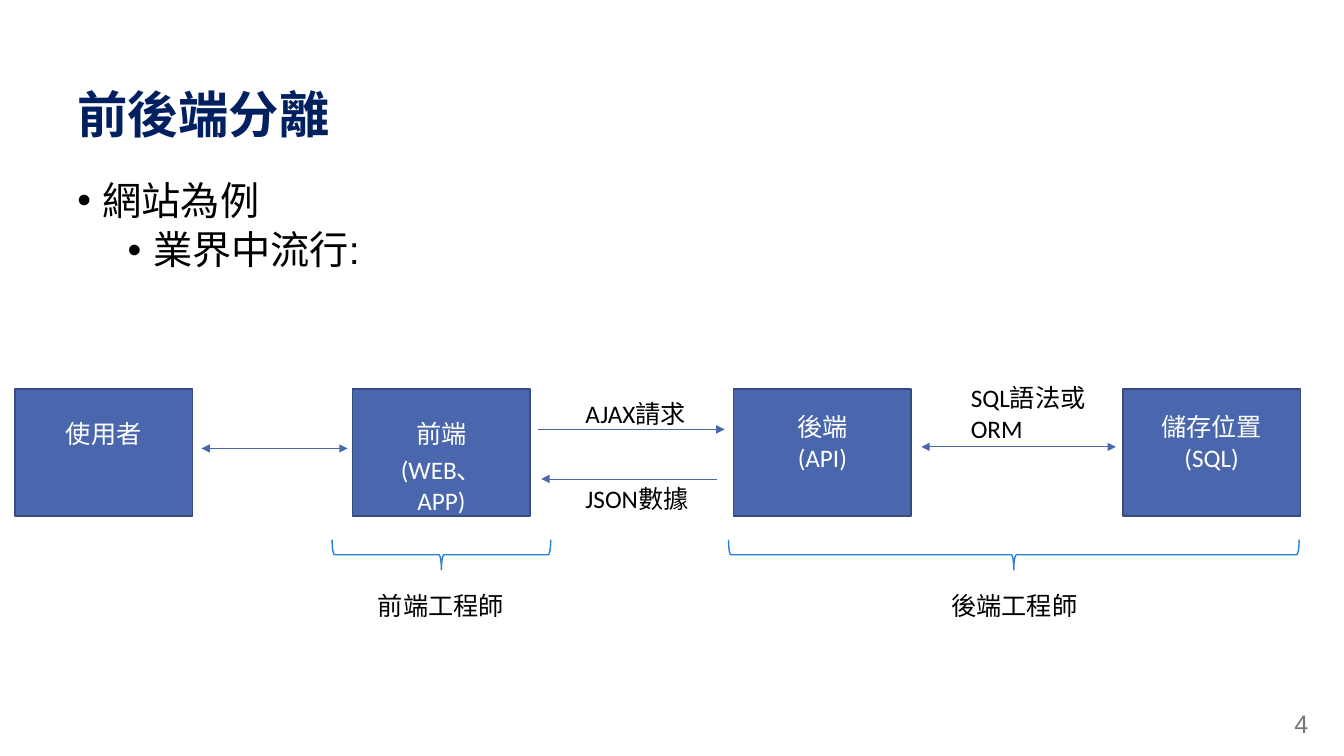
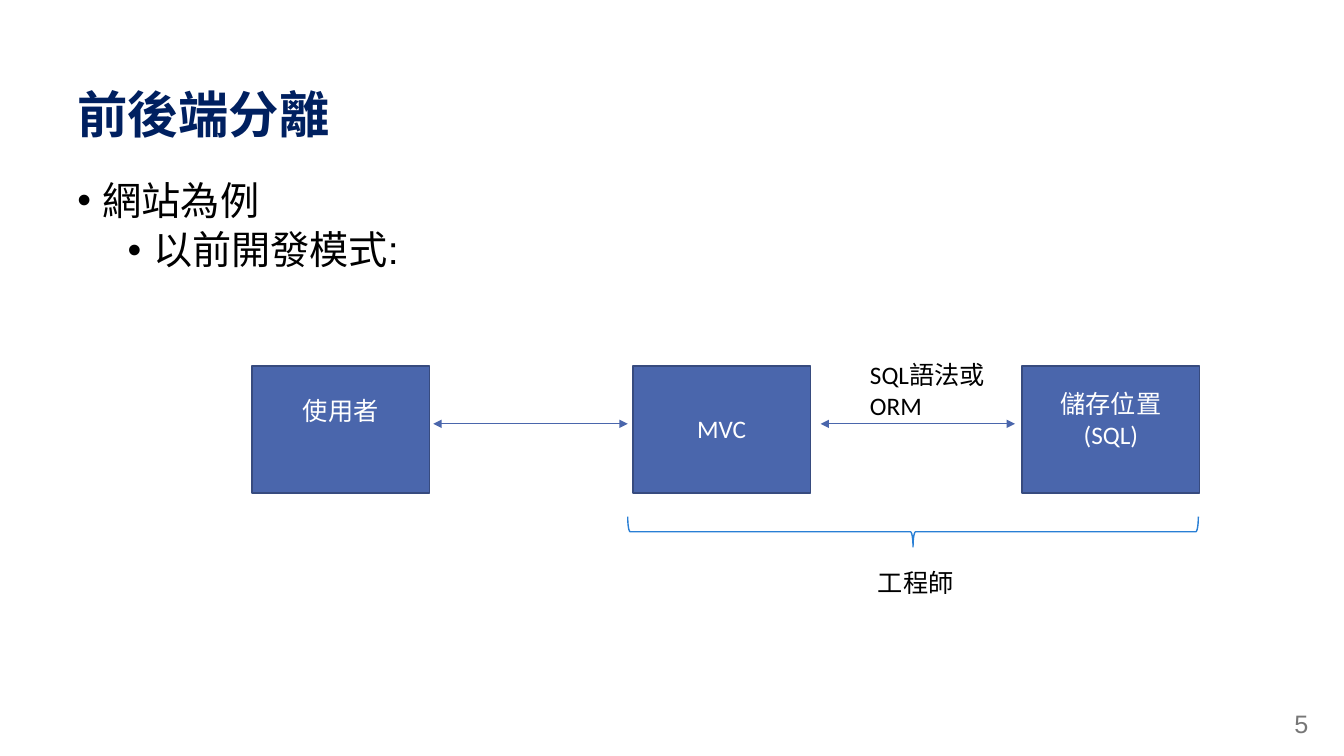
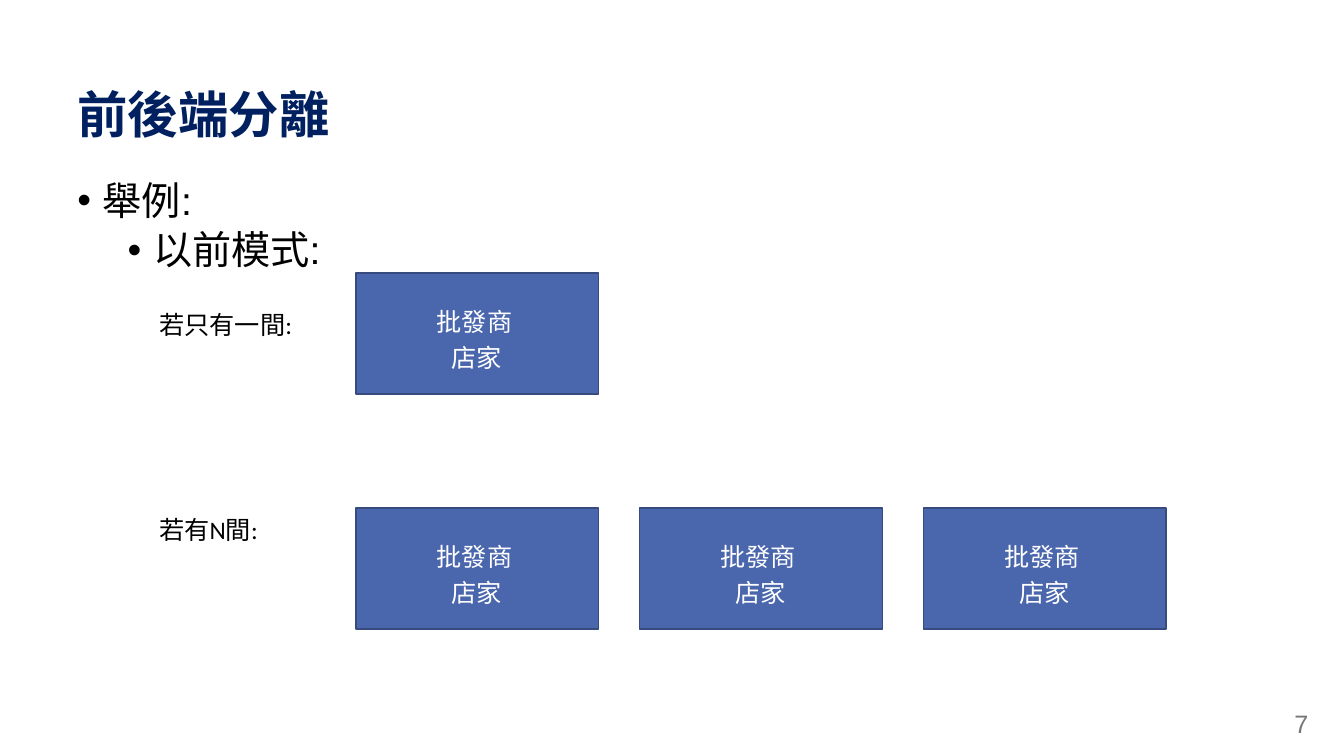
from dataclasses import dataclass
from typing import Any

from lxml.etree import SubElement
from pptx import Presentation
from pptx.dml.color import RGBColor
from pptx.enum.shapes import MSO_CONNECTOR as Connector, MSO_SHAPE as Preset
from pptx.enum.text import MSO_ANCHOR as Anchor, MSO_AUTO_SIZE as AutoSize, PP_ALIGN as Align
from pptx.oxml.ns import qn
from pptx.util import Cm, Pt

NAVY, BLUE, EDGE, SKY = "002060", "4A66AC", "374B7F", "297FD5"
BLACK, WHITE, GREY = "000000", "FFFFFF", "777777"
NO_STYLE_NO_GRID = "{2D5ABB26-0587-4C30-8999-92F81FD0307C}"
TITLE = "前後端分離"

TITLE_FONT = {"name": "Arial", "size": Pt(36), "bold": True}
BODY_FONT = {"name": "Arial", "size": Pt(28)}
NUMBER_FONT = {"name": "Arial", "size": Pt(18)}
LABEL_FONT = {"name": "Calibri", "size": Pt(18), "bold": False}
TITLE_FRAME = {"word_wrap": True, "auto_size": AutoSize.NONE, "vertical_anchor": Anchor.MIDDLE}

BOX_WIDTH, BOX_HEIGHT = 4.47, 3.2
SHOP_WIDTH, SHOP_HEIGHT = 6.12, 3.05
SHOP_LEFT, SHOP_PITCH = 8.97, 7.15
BRACE_DEPTH, BRACE_DROP, CAPTION_DROP = 0.76, 3.8, 4.85


@dataclass(frozen=True)
class Label:
    """Text in a one-cell table, placed in centimetres."""
    text: str
    left: float
    top: float
    width: float = 3.71
    height: float = 1.8
    color: str = BLACK
    align: Any = Align.LEFT


@dataclass(frozen=True)
class Arrow:
    """A level arrow from start to end."""
    start: float
    end: float
    top: float
    double: bool = True


@dataclass(frozen=True)
class Brace:
    """A brace opening upwards, with its caption."""
    left: float
    width: float
    caption: str
    caption_left: float


def rgb(color: str) -> RGBColor:
    """Turn a hex string into a colour."""
    return RGBColor.from_string(color)


def apply_formats(target: Any, formats: dict[str, Any]) -> None:
    """Set every attribute named in formats."""
    for name, value in formats.items():
        setattr(target, name, value)


def style_font(font: Any, formats: dict[str, Any], color: str) -> None:
    """Format a font and colour it."""
    apply_formats(font, formats)
    font.color.rgb = rgb(color)


def style_line(line: Any, color: str, width: float) -> None:
    """Set the colour and the width of a line."""
    line.color.rgb = rgb(color)
    line.width = Pt(width)


def add_bullets(slide: Any, lines: tuple[str, ...]) -> None:
    """Write the bullet lines, each one level deeper than the last."""
    shape = slide.shapes.add_textbox(Cm(1.7), Cm(4.45), Cm(30.48), Cm(3.2))
    frame = shape.text_frame
    frame.word_wrap = True
    frame.text = "\n".join(lines)
    for level, paragraph in enumerate(frame.paragraphs):
        apply_formats(paragraph, {"level": level, "line_spacing": 0.9,
                                  "space_before": Pt(5 if level else 10)})
        style_font(paragraph.runs[0].font, BODY_FONT, BLACK)
        properties = paragraph._p.get_or_add_pPr()
        properties.set("marL", str(Cm(0.64 + 1.27 * level)))
        properties.set("indent", str(-Cm(0.64)))
        SubElement(properties, qn("a:buFont")).set("typeface", "Arial")
        SubElement(properties, qn("a:buChar")).set("char", "•")


def add_slide(presentation: Any, number: int, *lines: str) -> Any:
    """Add a slide with the shared title, bullets and page number."""
    slide = presentation.slides.add_slide(presentation.slide_layouts[5])
    title = slide.shapes.title
    apply_formats(title, {"left": Cm(1.7), "top": Cm(1.98), "width": Cm(30.48), "height": Cm(1.96)})
    title.text_frame.text = TITLE
    apply_formats(title.text_frame, TITLE_FRAME)
    paragraph = title.text_frame.paragraphs[0]
    apply_formats(paragraph, {"alignment": Align.LEFT, "line_spacing": 0.9})
    style_font(paragraph.runs[0].font, TITLE_FONT, NAVY)
    add_bullets(slide, lines)
    frame = slide.shapes.add_textbox(Cm(30.68), Cm(17.73), Cm(2.54), Cm(1.02)).text_frame
    apply_formats(frame, {"word_wrap": True, "text": str(number)})
    frame.paragraphs[0].alignment = Align.RIGHT
    style_font(frame.paragraphs[0].runs[0].font, NUMBER_FONT, GREY)
    return slide


def add_label(slide: Any, label: Label) -> None:
    """Draw a label as an unfilled table of one cell."""
    position = (Cm(label.left), Cm(label.top), Cm(label.width), Cm(label.height))
    table = slide.shapes.add_table(1, 1, *position).table
    apply_formats(table, {"first_row": False, "horz_banding": False})
    table._tbl.tblPr.find(qn("a:tableStyleId")).text = NO_STYLE_NO_GRID
    cell = table.cell(0, 0)
    cell.fill.background()
    cell.text = label.text
    for paragraph in cell.text_frame.paragraphs:
        paragraph.alignment = label.align
        style_font(paragraph.runs[0].font, LABEL_FONT, label.color)


def add_rectangle(slide: Any, left: float, top: float, width: float, height: float) -> None:
    """Draw a blue rectangle."""
    shape = slide.shapes.add_shape(Preset.RECTANGLE, Cm(left), Cm(top), Cm(width), Cm(height))
    shape.shadow.inherit = False
    shape.fill.solid()
    shape.fill.fore_color.rgb = rgb(BLUE)
    style_line(shape.line, EDGE, 1)


def add_node(slide: Any, text: str, left: float, top: float, drop: float = 0.5,
             inset: float = 0.38) -> None:
    """Draw a box of the flow with its centred text."""
    add_rectangle(slide, left, top, BOX_WIDTH, BOX_HEIGHT)
    add_label(slide, Label(text, left + inset, top + drop, BOX_WIDTH - 2 * inset,
                           1, WHITE, Align.CENTER))


def add_arrow(slide: Any, arrow: Arrow) -> None:
    """Draw an arrow with one head or two."""
    connector = slide.shapes.add_connector(Connector.STRAIGHT, Cm(arrow.start), Cm(arrow.top),
                                           Cm(arrow.end), Cm(arrow.top))
    style_line(connector.line, BLUE, 0.5)
    line = connector.line._get_or_add_ln()
    for end in ("a:headEnd", "a:tailEnd") if arrow.double else ("a:tailEnd",):
        SubElement(line, qn(end)).set("type", "triangle")
    SubElement(connector._element.spPr, qn("a:effectLst"))


def add_brace(slide: Any, brace: Brace, top: float) -> None:
    """Draw a brace and its caption under the boxes that start at top."""
    turn = (brace.width - BRACE_DEPTH) / 2
    shape = slide.shapes.add_shape(Preset.LEFT_BRACE, Cm(brace.left + turn),
                                   Cm(top + BRACE_DROP - turn), Cm(BRACE_DEPTH), Cm(brace.width))
    shape.rotation = 270
    shape.shadow.inherit = False
    shape.fill.background()
    style_line(shape.line, SKY, 1)
    add_label(slide, Label(brace.caption, brace.caption_left, top + CAPTION_DROP, height=1.12))


def add_storage(slide: Any, server_left: float, top: float, caption: str,
                caption_shift: float) -> None:
    """Draw the storage, its link to the server and the brace under both."""
    add_node(slide, "儲存位置\n(SQL)", server_left + 9.81, top, 0.33)
    add_arrow(slide, Arrow(server_left + 4.73, server_left + 9.63, top + 1.46))
    add_label(slide, Label("SQL語法或ORM", server_left + 5.72, top - 0.4))
    add_brace(slide, Brace(server_left - 0.13, 14.38, caption, server_left + caption_shift), top)


def add_shop(slide: Any, left: float, top: float) -> None:
    """Draw a shop box with its two lines."""
    add_rectangle(slide, left, top, SHOP_WIDTH, SHOP_HEIGHT)
    add_label(slide, Label("批發商", left + 1.78, top + 0.61, 2.95, 1.27, WHITE))
    add_label(slide, Label("店家", left + 2.16, top + 1.52, 1.8, 1.27, WHITE))


def build_separated(presentation: Any) -> None:
    """Build the slide on split front and back ends."""
    slide = add_slide(presentation, 4, "網站為例", "業界中流行:")
    top, server_left = 9.8, 18.49
    add_node(slide, "使用者", 0.38, top)
    add_node(slide, "前端\n(WEB、APP)", 8.89, top)
    add_node(slide, "後端\n(API)", server_left, top, 0.33)
    for arrow in (Arrow(5.08, 8.76, top + 1.5), Arrow(13.56, 18.26, top + 1.02, False),
                  Arrow(18.08, 13.64, top + 2.27, False)):
        add_arrow(slide, arrow)
    add_label(slide, Label("AJAX請求", 14.5, top))
    add_label(slide, Label("JSON數據", 14.5, top + 2.14))
    add_brace(slide, Brace(8.37, 5.51, "前端工程師", 9.27), top)
    add_storage(slide, server_left, top, "後端工程師", 5.23)


def build_combined(presentation: Any) -> None:
    """Build the slide on the earlier way of working."""
    slide = add_slide(presentation, 5, "網站為例", "以前開發模式:")
    top, server_left = 9.22, 15.95
    add_node(slide, "使用者", 6.35, top)
    add_node(slide, "MVC", server_left, top, 1.1, 1.3)
    add_arrow(slide, Arrow(10.92, 15.82, top + 1.46))
    add_storage(slide, server_left, top, "工程師", 5.92)


def build_shops(presentation: Any) -> None:
    """Build the slide that compares one shop with many."""
    slide = add_slide(presentation, 7, "舉例:", "以前模式:")
    for text, text_top, top, count in (("若只有一間:", 7.57, 6.88, 1), ("若有N間:", 12.73, 12.8, 3)):
        add_label(slide, Label(text, 3.76, text_top, 4.83, 1.27))
        for index in range(count):
            add_shop(slide, SHOP_LEFT + index * SHOP_PITCH, top)


def main() -> None:
    """Build and save the presentation."""
    presentation = Presentation()
    apply_formats(presentation, {"slide_width": Cm(33.87), "slide_height": Cm(19.05)})
    for build in (build_separated, build_combined, build_shops):
        build(presentation)
    presentation.save("out.pptx")


if __name__ == "__main__":
    main()
